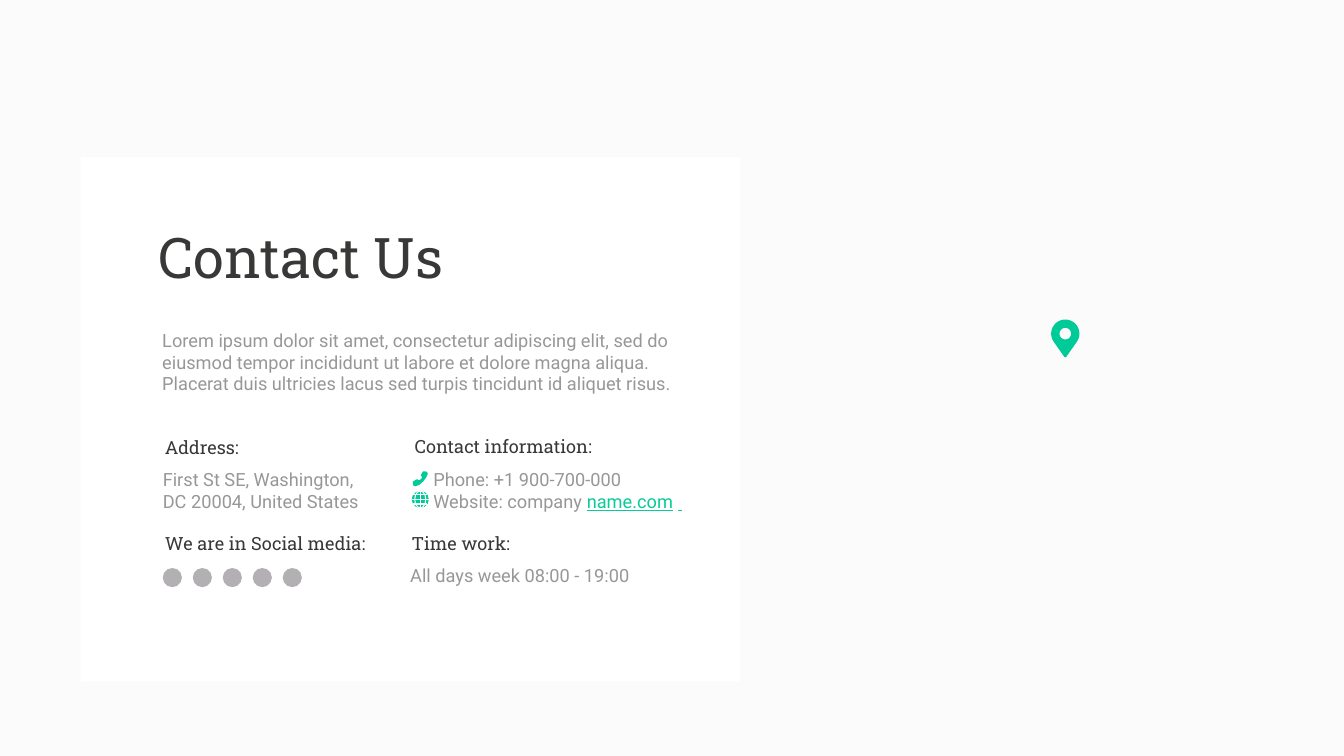
from math import cos, radians, sin

from pptx import Presentation
from pptx.dml.color import RGBColor
from pptx.enum.shapes import MSO_CONNECTOR, MSO_SHAPE
from pptx.enum.text import MSO_ANCHOR, MSO_AUTO_SIZE, PP_ALIGN
from pptx.oxml.ns import qn
from pptx.util import Inches, Pt
from lxml import etree

RECT, OVAL = MSO_SHAPE.RECTANGLE, MSO_SHAPE.OVAL
STRAIGHT = MSO_CONNECTOR.STRAIGHT
TOP, LEFT = MSO_ANCHOR.TOP, PP_ALIGN.LEFT
FIT = MSO_AUTO_SIZE.SHAPE_TO_FIT_TEXT

BACKGROUND = RGBColor(0xFA, 0xFB, 0xFA)
WHITE = RGBColor(0xFF, 0xFF, 0xFF)
DARK = RGBColor(0x38, 0x39, 0x37)
GREY = RGBColor(0x97, 0x97, 0x99)
ICON_GREY = RGBColor(0xB2, 0xB0, 0xB2)
GREEN = RGBColor(0x00, 0xCB, 0x98)
LINK = RGBColor(0x09, 0xCB, 0x99)
SERIF, SANS = "Roboto Slab", "Roboto"


def write(sp, lines, font, size, color):
    tf = sp.text_frame
    tf.word_wrap = True
    tf.auto_size = FIT
    tf.vertical_anchor = TOP
    tf.margin_left = tf.margin_right = tf.margin_top = tf.margin_bottom = Inches(0.06)
    for i, line in enumerate(lines):
        p = tf.add_paragraph() if i else tf.paragraphs[0]
        p.text = line
        p.alignment = LEFT
        for r in p.runs:
            r.font.name = font
            r.font.size = Pt(size)
            r.font.color.rgb = color


def paint(sp, color):
    sp.shadow.inherit = False
    sp.fill.solid()
    sp.fill.fore_color.rgb = color
    sp.line.fill.background()


prs = Presentation()
prs.slide_width, prs.slide_height = Inches(26.67), Inches(15)
s = prs.slides.add_slide(prs.slide_layouts[5])
s.background.fill.solid()
s.background.fill.fore_color.rgb = BACKGROUND
title = s.shapes.title

# White card, placed behind the title
card = s.shapes.add_shape(RECT, Inches(1.6), Inches(3.12), Inches(13.09), Inches(10.4))
paint(card, WHITE)
title._element.addprevious(card._element)

# Title
title.left, title.top = Inches(3.09), Inches(4.35)
title.width, title.height = Inches(8.01), Inches(1.46)
write(title, ["Contact Us"], SERIF, 80, DARK)

# Texts: left, top, width, height, font, colour, lines
texts = [
    (3.16, 6.47, 10.36, 1.42, SANS, GREY, [
        "Lorem ipsum dolor sit amet, consectetur adipiscing elit, sed do eiusmod "
        "tempor incididunt ut labore et dolore magna aliqua. Placerat duis ultricies "
        "lacus sed turpis tincidunt id aliquet risus."]),
    (3.21, 8.59, 2.23, 0.55, SERIF, DARK, ["Address:"]),
    (3.17, 9.24, 4.19, 0.99, SANS, GREY,
     ["First St SE, Washington, DC 20004, United States"]),
    (3.21, 10.5, 4.12, 0.55, SERIF, DARK, ["We are in Social media:"]),
    (8.11, 10.51, 4.12, 0.55, SERIF, DARK, ["Time work:"]),
    (8.08, 11.13, 4.68, 0.55, SANS, GREY, ["All days week 08:00 - 19:00"]),
    (8.17, 8.58, 3.9, 0.55, SERIF, DARK, ["Contact information:"]),
    (8.54, 9.23, 5.17, 0.99, SANS, GREY,
     ["Phone: +1 900-700-000", "Website: company "]),
]
for x, y, w, h, font, color, lines in texts:
    sp = s.shapes.add_textbox(Inches(x), Inches(y), Inches(w), Inches(h))
    write(sp, lines, font, 26, color)

# Website address, added to the last line of the contact box
p = sp.text_frame.paragraphs[-1]
for text, color, underline in [("name.com", LINK, True), (" ", GREY, False), (" ", LINK, True)]:
    r = p.add_run()
    r.text = text
    r.font.name, r.font.size = SANS, Pt(26)
    r.font.color.rgb = color
    r.font.underline = underline

# Map pin (round head, tip and hole) and phone handset
pin_x, pin_y = 21.14, 6.62
head = [(pin_x + 0.28 * cos(radians(a)), pin_y + 0.28 * sin(radians(a)))
        for a in range(144, 397, 6)]
hole = [(pin_x + 0.115 * cos(radians(a)), pin_y + 0.115 * sin(radians(a)))
        for a in range(360, 0, -10)]
tip = [(21.16, 7.08), (21.14, 7.09), (21.12, 7.08)]
handset = [(8.24, 9.65), (8.2, 9.63), (8.19, 9.56), (8.2, 9.55), (8.27, 9.51),
           (8.28, 9.51), (8.31, 9.53), (8.35, 9.51), (8.38, 9.47), (8.35, 9.44),
           (8.35, 9.43), (8.39, 9.36), (8.4, 9.35), (8.47, 9.36), (8.49, 9.4),
           (8.46, 9.47), (8.4, 9.55), (8.32, 9.62)]
for contours in ([head + tip, hole], [handset]):
    outlines = [[(Inches(x), Inches(y)) for x, y in c] for c in contours]
    fb = s.shapes.build_freeform(*outlines[0][0])
    fb.add_line_segments(outlines[0][1:])
    for outline in outlines[1:]:
        fb.move_to(*outline[0])
        fb.add_line_segments(outline[1:])
    paint(fb.convert_to_shape(), GREEN)

# Globe: green disc with white meridians and parallels
disc = s.shapes.add_shape(OVAL, Inches(8.17), Inches(9.74), Inches(0.34), Inches(0.34))
paint(disc, GREEN)
meridian = s.shapes.add_shape(OVAL, Inches(8.23), Inches(9.74), Inches(0.22), Inches(0.34))
meridian.shadow.inherit = False
meridian.fill.background()
grid = [meridian]
for x1, y1, x2, y2 in [(8.34, 9.74, 8.34, 10.08), (8.17, 9.91, 8.51, 9.91),
                       (8.2, 9.82, 8.48, 9.82), (8.2, 10, 8.48, 10)]:
    line = s.shapes.add_connector(STRAIGHT, Inches(x1), Inches(y1), Inches(x2), Inches(y2))
    etree.SubElement(line._element.spPr, qn("a:effectLst"))
    grid.append(line)
for sp in grid:
    sp.line.color.rgb = WHITE
    sp.line.width = Pt(1.5)

# Social media: a row of plain discs
for i in range(5):
    sp = s.shapes.add_shape(OVAL, Inches(3.23 + 0.595 * i), Inches(11.27),
                            Inches(0.38), Inches(0.38))
    paint(sp, ICON_GREY)

prs.save("out.pptx")
